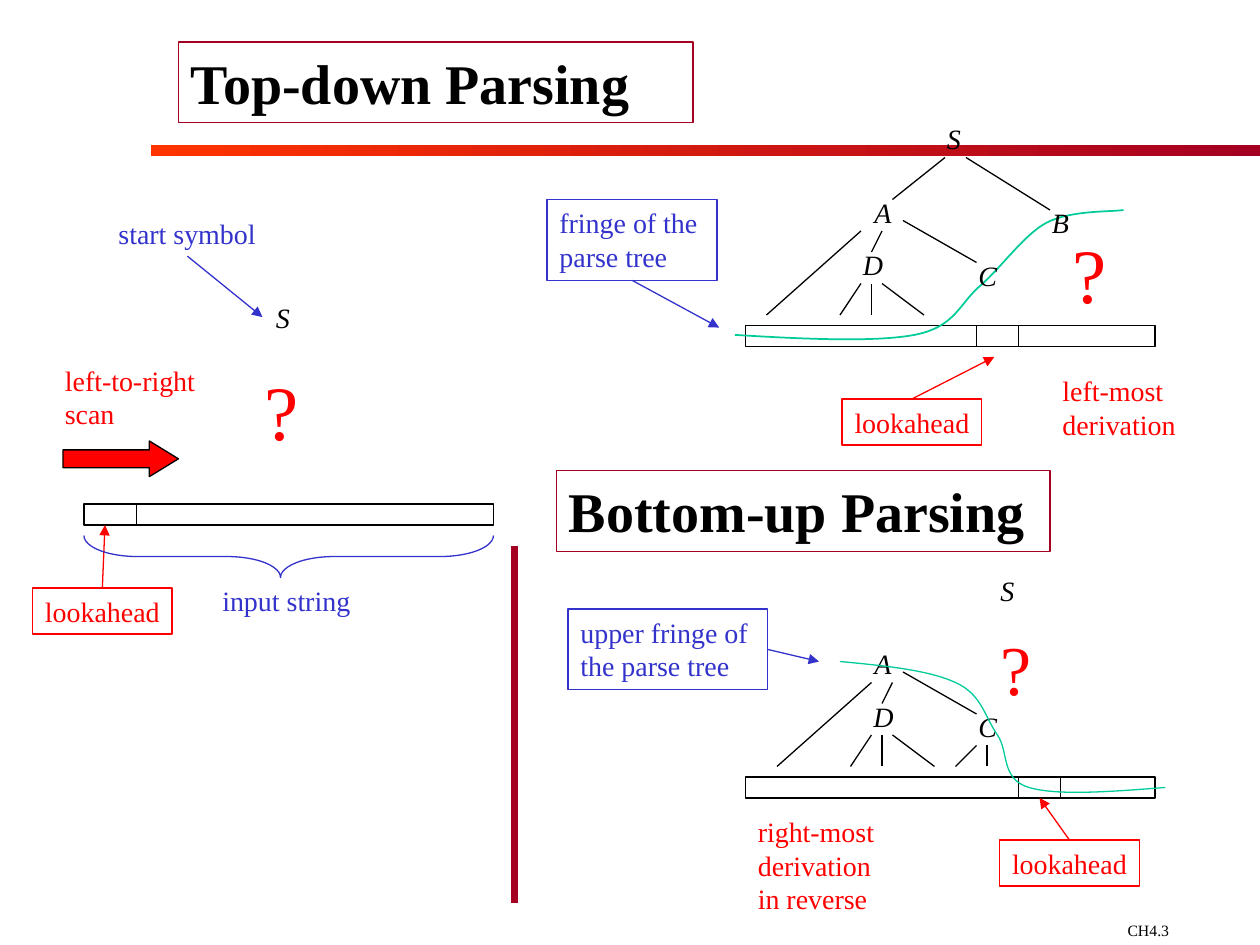
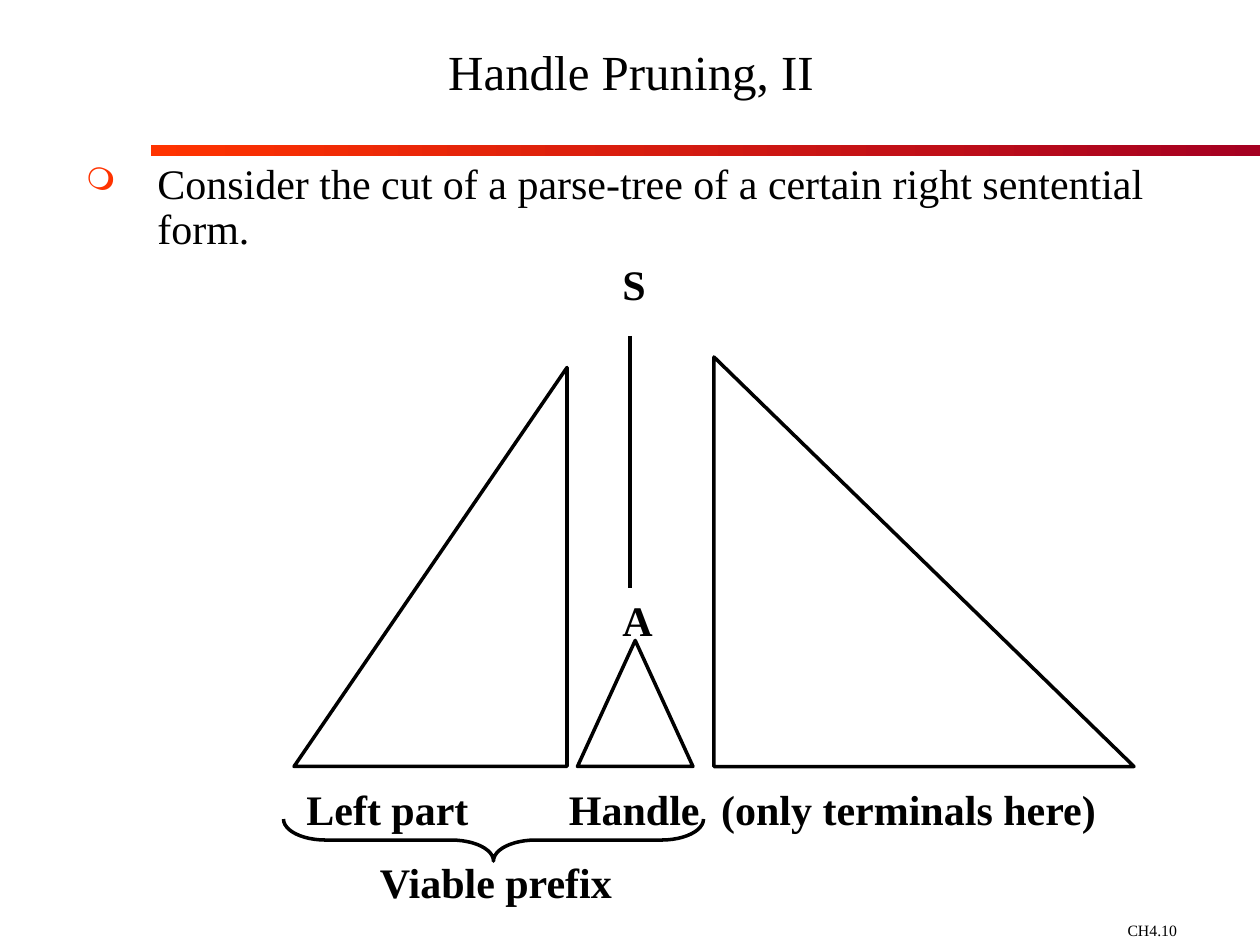
from lxml import etree
from pptx import Presentation
from pptx.dml.color import RGBColor
from pptx.enum.shapes import MSO_CONNECTOR, MSO_SHAPE
from pptx.enum.text import MSO_ANCHOR, PP_ALIGN
from pptx.oxml.ns import qn
from pptx.util import Emu, Pt

RECTANGLE = MSO_SHAPE.RECTANGLE
TRIANGLE = MSO_SHAPE.ISOSCELES_TRIANGLE
RIGHT_ARROW = MSO_SHAPE.RIGHT_ARROW
LEFT_BRACE = MSO_SHAPE.LEFT_BRACE
STRAIGHT = MSO_CONNECTOR.STRAIGHT
LEFT, CENTER = PP_ALIGN.LEFT, PP_ALIGN.CENTER
TOP, MIDDLE = MSO_ANCHOR.TOP, MSO_ANCHOR.MIDDLE
TOP_SIDE, BOTTOM_SIDE, RIGHT_SIDE = 0, 2, 3

EMU_PER_PX = 7620  # 120 px to the inch
BLACK, RED, BLUE, GREEN = "000000", "FF0000", "3333CC", "00CC99"
ORANGE, CRIMSON = "FF3300", "A50021"
LETTER_WIDTHS = {"S": 37, "A": 40, "B": 40, "C": 42, "D": 43}


def px(*lengths):
    return [Emu(round(length * EMU_PER_PX)) for length in lengths]


def rgb(hex_color):
    return RGBColor.from_string(hex_color)


def sub(parent, tag, **attributes):
    return etree.SubElement(parent, qn(tag), **attributes)


class Deck:
    """Holds the shared style and the slide being drawn."""

    font_format = {"name": "Times New Roman", "size": Pt(16), "bold": False, "italic": False}

    def __init__(self):
        self.presentation = Presentation()
        self.presentation.slide_width, self.presentation.slide_height = px(1200, 900)

    def new_slide(self, number):
        self.slide = self.presentation.slides.add_slide(self.presentation.slide_layouts[6])
        band = self.shape(RECTANGLE, 144, 138, 1056, 11, line=None)
        band.fill.gradient()
        band.fill.gradient_angle = 0
        for stop, color in zip(band.fill.gradient_stops, (ORANGE, CRIMSON)):
            stop.color.rgb = rgb(color)
        self.text(number, 1062, 871, 138, 29, wrap=True, size=Pt(9))

    def shape(self, kind, left, top, width, height, line=BLACK, weight=0.75, fill=None, adjust=()):
        shape = self.slide.shapes.add_shape(kind, *px(left, top, width, height))
        shape.shadow.inherit = False
        for index, value in enumerate(adjust):
            shape.adjustments[index] = value
        if fill:
            shape.fill.solid()
            shape.fill.fore_color.rgb = rgb(fill)
        else:
            shape.fill.background()
        self.outline(shape, line, weight)
        return shape

    def outline(self, shape, color, weight):
        if color:
            shape.line.color.rgb = rgb(color)
            shape.line.width = Pt(weight)
        else:
            shape.line.fill.background()

    def text(self, words, left, top, width, height, color=BLACK, border=None, wrap=False,
             align=LEFT, anchor=TOP, spacing=None, tabs=(), bullet=None, **font_changes):
        """Write one paragraph per line of words, in a box when a border is given."""
        if border:
            box = self.shape(RECTANGLE, left, top, width, height, border)
        else:
            box = self.slide.shapes.add_textbox(*px(left, top, width, height))
        frame = box.text_frame
        frame.word_wrap = wrap
        frame.vertical_anchor = anchor
        for index, line in enumerate(words.split("\n")):
            paragraph = frame.paragraphs[0] if index == 0 else frame.add_paragraph()
            paragraph.alignment = align
            if spacing:
                paragraph.line_spacing = spacing
            if bullet:
                self.bullet(paragraph, bullet)
            if tabs:
                stops = sub(paragraph._p.get_or_add_pPr(), "a:tabLst")
                for position in px(*tabs):
                    sub(stops, "a:tab", pos=str(position), algn="l")
            run = paragraph.add_run()
            run.text = line
            for name, value in (self.font_format | font_changes).items():
                setattr(run.font, name, value)
            run.font.color.rgb = rgb(color)
        return box

    def bullet(self, paragraph, character):
        properties = paragraph._p.get_or_add_pPr()
        indent, = px(68)
        properties.set("marL", str(indent))
        properties.set("indent", str(-indent))
        sub(sub(properties, "a:buClr"), "a:srgbClr", val=ORANGE)
        sub(properties, "a:buSzPct", val="75000")
        sub(properties, "a:buChar", char=character)

    def letter(self, symbol, left, top):
        self.text(symbol, left, top, LETTER_WIDTHS[symbol], 44, italic=True)

    def line(self, x1, y1, x2, y2, color=BLACK, weight=0.75):
        line = self.slide.shapes.add_connector(STRAIGHT, *px(x1, y1, x2, y2))
        self.outline(line, color, weight)
        sub(line._element.spPr, "a:effectLst")
        return line

    def pointer(self, label, side, x, y, color):
        """Draw an arrow from the middle of a label's side to a point."""
        arrow = self.line(x, y, x, y, color)
        arrow.begin_connect(label, side)
        sub(arrow.line._get_or_add_ln(), "a:tailEnd", type="triangle")

    def brace(self, left, top, width, height, curl, point, color, weight):
        """Draw a brace that opens upward, with its point a given share along."""
        return_left = left + (width - height) / 2
        return_top = top - (width - height) / 2
        brace = self.shape(LEFT_BRACE, return_left, return_top, height, width, color, weight,
                           adjust=(curl, point))
        brace.rotation = 270

    def curve(self, points, color, weight):
        """Draw joined cubic curves: a start, then two controls and an end for each."""
        builder = self.slide.shapes.build_freeform(*points[0], scale=EMU_PER_PX)
        builder.add_line_segments(points[1:], close=False)
        curve = builder.convert_to_shape()
        curve.shadow.inherit = False
        curve.fill.background()
        self.outline(curve, color, weight)
        outline = curve._element.find(".//" + qn("a:path"))
        segments = outline.findall(qn("a:lnTo"))
        for start in range(0, len(segments), 3):
            cubic = sub(outline, "a:cubicBezTo")
            for segment in segments[start:start + 3]:
                cubic.append(segment[0])
                outline.remove(segment)

    def input_bar(self, left, top, *dividers):
        self.shape(RECTANGLE, left, top, 390, 20)
        for x in dividers:
            self.line(x, top, x, top + 20)

    def lookahead(self, left, top, x, y):
        label = self.text("lookahead", left, top, 133, 44, RED, border=RED)
        self.pointer(label, TOP_SIDE, x, y, RED)

    def subtree(self, top, shift):
        """Draw A with its children; D and its edges move right by shift."""
        self.letter("A", 821, top)
        self.letter("D", 810 + shift, top + 50)
        self.letter("C", 920, top + 60)
        self.line(860, top + 30, 930, top + 70)
        for x1, y1, x2, y2 in ((820, 40, 730, 120), (840, 40, 830, 60), (820, 90, 800, 120),
                               (830, 90, 830, 120), (840, 90, 880, 120)):
            self.line(x1 + shift, top + y1, x2 + shift, top + y2)


def draw_parsing(deck):
    deck.new_slide("CH4.3")
    heading = {"border": CRIMSON, "wrap": True, "size": Pt(32), "bold": True}
    deck.text("Top-down Parsing", 170, 40, 490, 77, **heading)
    deck.text("Bottom-up Parsing", 530, 448, 470, 77, **heading)
    deck.line(490, 520, 490, 860, CRIMSON, 4.5)

    # Start of the parse
    start_symbol = deck.text("start symbol", 101, 200, 155, 44, BLUE)
    deck.pointer(start_symbol, BOTTOM_SIDE, 250, 302, BLUE)
    deck.letter("S", 251, 280)
    deck.text("left-to-right\nscan", 50, 340, 148, 77, RED)
    deck.shape(RIGHT_ARROW, 60, 420, 110, 34, fill=RED, adjust=(0.5, 0.815))
    deck.input_bar(80, 480, 130)
    deck.lookahead(31, 560, 100, 500)
    deck.brace(80, 510, 390, 40, 1.27, 0.48, BLUE, 0.75)
    deck.text("input string", 200, 550, 146, 44, BLUE, wrap=True)

    # Top-down tree
    deck.input_bar(710, 310, 930, 970)
    deck.curve([(700, 319), (766, 323), (833, 326), (871, 319), (911, 311), (913, 289),
                (935, 271), (955, 253), (976, 223), (997, 212), (1020, 200), (1058, 202),
                (1070, 200)], GREEN, 1)
    deck.letter("S", 890, 110)
    deck.letter("B", 990, 190)
    deck.line(900, 150, 850, 190)
    deck.line(920, 150, 1000, 200)
    deck.subtree(180, 0)
    fringe = deck.text("fringe of the\nparse tree", 521, 190, 162, 77, BLUE, border=BLUE)
    deck.pointer(fringe, BOTTOM_SIDE, 685, 312, BLUE)
    deck.lookahead(802, 380, 947, 340)
    deck.text("left-most\nderivation", 1000, 350, 133, 77, RED, wrap=True)

    # Bottom-up tree
    deck.input_bar(710, 740, 970, 1010)
    deck.letter("S", 941, 540)
    deck.subtree(610, 10)
    deck.line(930, 710, 910, 730)
    deck.line(940, 710, 940, 730)
    deck.curve([(1110, 750), (1058, 754), (1007, 758), (980, 750), (953, 742), (961, 716),
                (950, 700), (938, 683), (935, 661), (910, 650), (884, 638), (842, 634),
                (800, 630)], GREEN, 0.75)
    upper_fringe = deck.text("upper fringe of\nthe parse tree", 541, 580, 190, 77, BLUE,
                             border=BLUE)
    deck.pointer(upper_fringe, RIGHT_SIDE, 780, 630, BLUE)
    deck.lookahead(952, 800, 990, 760)
    deck.text("right-most\nderivation\nin reverse", 710, 770, 180, 108, RED, wrap=True)

    for left, top, width, height, size in ((240, 340, 56, 101, 44), (1010, 210, 56, 101, 44),
                                           (941, 590, 53, 92, 40)):
        deck.text("?", left, top, width, height, RED, size=Pt(size))


def draw_handle_pruning(deck):
    deck.new_slide("CH4.10")
    deck.text("Handle Pruning, II", 72, 0, 1058, 146, wrap=True, align=CENTER, anchor=MIDDLE,
              spacing=0.8, size=Pt(28))
    deck.text("Consider the cut of a parse-tree of a certain right sentential form.",
              70, 150, 1060, 698, wrap=True, spacing=0.89, bullet="❍", size=Pt(24))

    label = {"size": Pt(24), "bold": True}
    deck.text("S", 581, 240, 46, 60, **label)
    deck.line(600, 320, 600, 560, weight=2)
    deck.text("A", 581, 560, 53, 60, **label)
    for left, top, width, height, apex in ((280, 350, 260, 380, 1), (550, 610, 110, 120, 0.5),
                                           (680, 340, 400, 390, 0)):
        deck.shape(TRIANGLE, left, top, width, height, weight=2, adjust=(apex,))
    deck.text("Left part\tHandle\t(only terminals here)", 280, 740, 776, 60,
              tabs=(250, 395), **label)
    deck.brace(270, 780, 400, 40, 1, 0.5, BLACK, 2)
    deck.text("Viable prefix", 350, 810, 247, 60, **label)


def main():
    deck = Deck()
    draw_parsing(deck)
    draw_handle_pruning(deck)
    deck.presentation.save("out.pptx")


if __name__ == "__main__":
    main()
